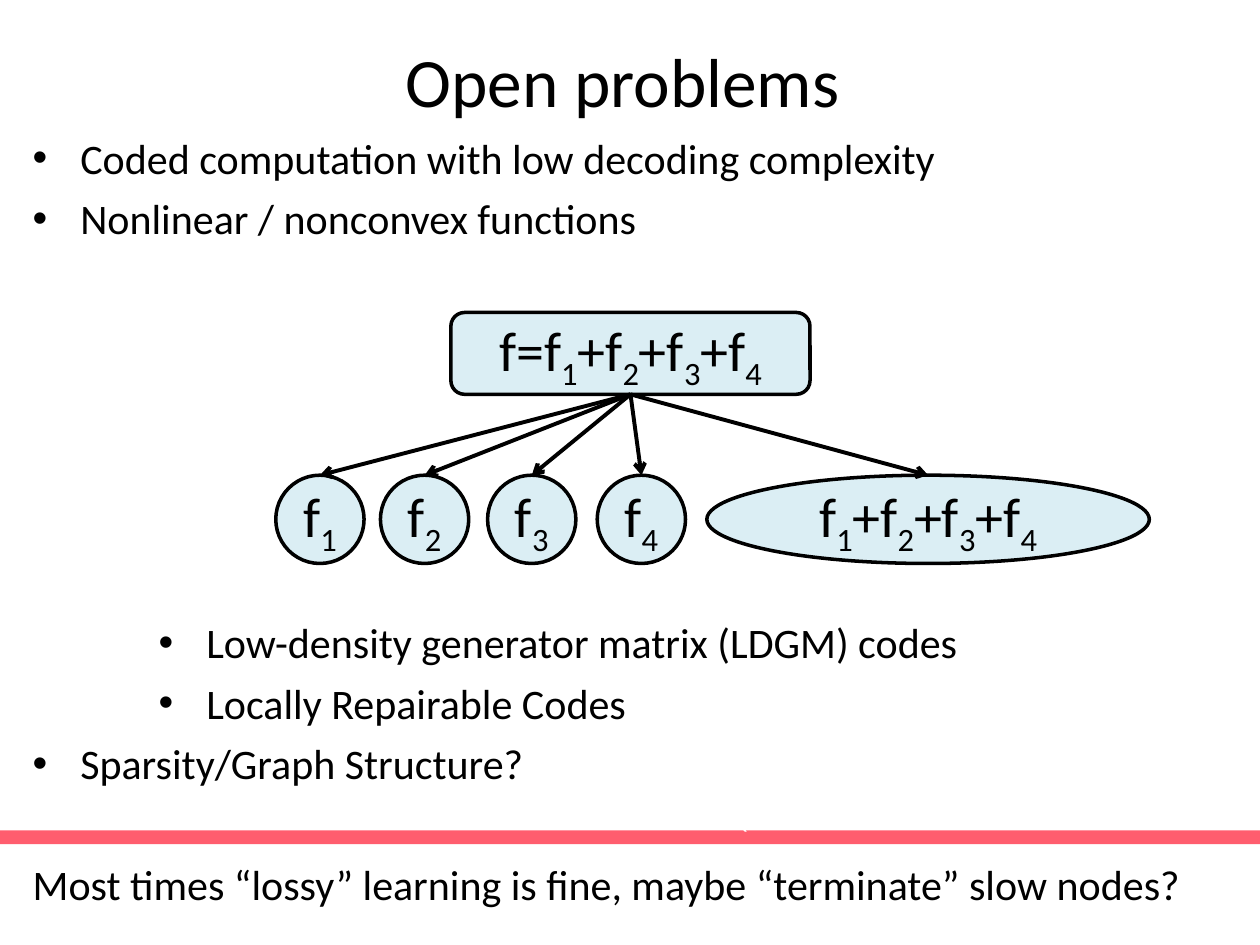
from dataclasses import dataclass
from itertools import groupby

from lxml.etree import SubElement
from pptx import Presentation
from pptx.dml.color import RGBColor
from pptx.enum.shapes import MSO_CONNECTOR as Link, MSO_SHAPE as Kind
from pptx.enum.text import MSO_ANCHOR as Anchor, MSO_AUTO_SIZE as Fit, PP_ALIGN as Align
from pptx.oxml.ns import qn
from pptx.util import Cm, Pt


@dataclass(frozen=True)
class Theme:
    face: str = "Calibri"
    ink: str = "000000"
    paper: str = "FFFFFF"
    node: str = "DBEEF4"
    bar: str = "FF5D6E"
    title: float = 39.6
    body: float = 24
    math: float = 32
    small: float = 18
    edge: float = 2
    arrow: float = 2.25


THEME = Theme()
TOTAL = "f1+f2+f3+f4"
HANG = 0.96
STEP = 2.54
ROW = 34.6

POINTS = [
    ("Coded computation with low decoding complexity", 0, 0),
    ("Nonlinear / nonconvex functions", 0, 0),
    ("Low-density generator matrix (LDGM) codes", 1, 6),
    ("Locally Repairable Codes", 1, 0),
    ("Sparsity/Graph Structure?", 0, 0),
    ("Most times “lossy” learning is fine, maybe “terminate” slow nodes?", None, 1),
]

LEAVES = [
    ("f1", 5.56, 1.78),
    ("f2", 7.67, 1.78),
    ("f3", 9.83, 1.78),
    ("f4", 12.04, 1.78),
    (TOTAL, 14.25, 8.92),
]


def apply(item, **values):
    for name, value in values.items():
        setattr(item, name, value)


def style(font, size, color=THEME.ink):
    apply(font, name=THEME.face, size=Pt(size))
    font.color.rgb = RGBColor.from_string(color)


def place(shape, left, top, width, height):
    apply(shape, left=Cm(left), top=Cm(top), width=Cm(width), height=Cm(height))


def add_title(slide, text):
    title = slide.shapes.title
    place(title, 1.12, 0.64, 22.86, 1.93)
    frame = title.text_frame
    apply(frame, text=text, auto_size=Fit.NONE, vertical_anchor=Anchor.MIDDLE)
    para = frame.paragraphs[0]
    para.alignment = Align.CENTER
    style(para.runs[0].font, THEME.title)


def add_dot(para, level):
    props = para._p.get_or_add_pPr()
    props.set("marL", str(Cm(HANG + level * STEP)))
    props.set("indent", str(-Cm(HANG)))
    SubElement(props, qn("a:buFont"), typeface="Arial")
    SubElement(props, qn("a:buChar"), char="•")


def add_list(slide, points):
    box = slide.shapes.add_textbox(Cm(0.41), Cm(2.34), Cm(24.99), Cm(16.6))
    frame = box.text_frame
    frame.word_wrap = True
    for place_no, (text, level, skip) in enumerate(points):
        para = frame.add_paragraph() if place_no else frame.paragraphs[0]
        apply(para, line_spacing=1.2, space_before=Pt(skip * ROW))
        if level is not None:
            add_dot(para, level)
        run = para.add_run()
        run.text = text
        style(run.font, THEME.body)


def add_block(slide, kind, spot, fill):
    shape = slide.shapes.add_shape(kind, *map(Cm, spot))
    shape.shadow.inherit = False
    shape.fill.solid()
    shape.fill.fore_color.rgb = RGBColor.from_string(fill)
    apply(shape.text_frame, vertical_anchor=Anchor.MIDDLE, word_wrap=False)
    shape.text_frame.paragraphs[0].alignment = Align.CENTER
    return shape


def add_node(slide, kind, spot, label):
    shape = add_block(slide, kind, spot, THEME.node)
    shape.line.color.rgb = RGBColor.from_string(THEME.ink)
    shape.line.width = Pt(THEME.edge)
    para = shape.text_frame.paragraphs[0]
    for low, chars in groupby(label, str.isdigit):
        run = para.add_run()
        run.text = "".join(chars)
        style(run.font, THEME.math)
        if low:
            run._r.get_or_add_rPr().set("baseline", "-25000")
    return shape


def add_arrow(slide, start, end):
    line = slide.shapes.add_connector(Link.STRAIGHT, 0, 0, 0, 0)
    line.begin_connect(start, 2)
    line.end_connect(end, 0)
    line.line.color.rgb = RGBColor.from_string(THEME.ink)
    line.line.width = Pt(THEME.arrow)
    SubElement(line.line._get_or_add_ln(), qn("a:tailEnd"), type="arrow")
    SubElement(line._element.spPr, qn("a:effectLst"))


def add_tree(slide):
    root = add_node(slide, Kind.ROUNDED_RECTANGLE, (9.09, 6.3, 7.24, 1.65), "f=" + TOTAL)
    for label, left, width in LEAVES:
        leaf = add_node(slide, Kind.OVAL, (left, 9.58, width, 1.78), label)
        add_arrow(slide, root, leaf)


def add_bar(slide):
    bar = add_block(slide, Kind.RECTANGLE, (-0.25, 16.74, 30.48, 0.28), THEME.bar)
    bar.line.fill.background()
    run = bar.text_frame.paragraphs[0].add_run()
    run.text = "`"
    style(run.font, THEME.small, THEME.paper)


def main():
    deck = Presentation()
    apply(deck, slide_width=Cm(25.4), slide_height=Cm(19.05))
    slide = deck.slides.add_slide(deck.slide_layouts[5])
    add_title(slide, "Open problems")
    add_list(slide, POINTS)
    add_tree(slide)
    add_bar(slide)
    deck.save("out.pptx")


if __name__ == "__main__":
    main()
